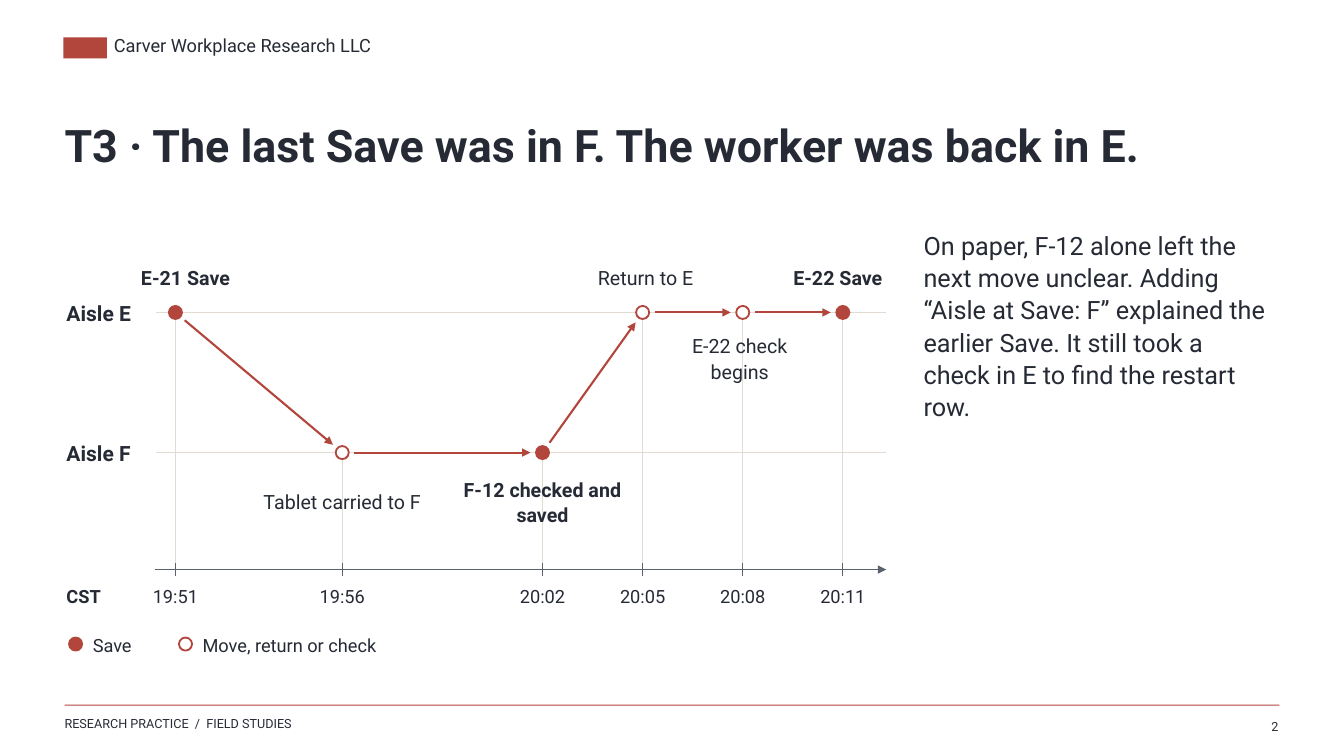
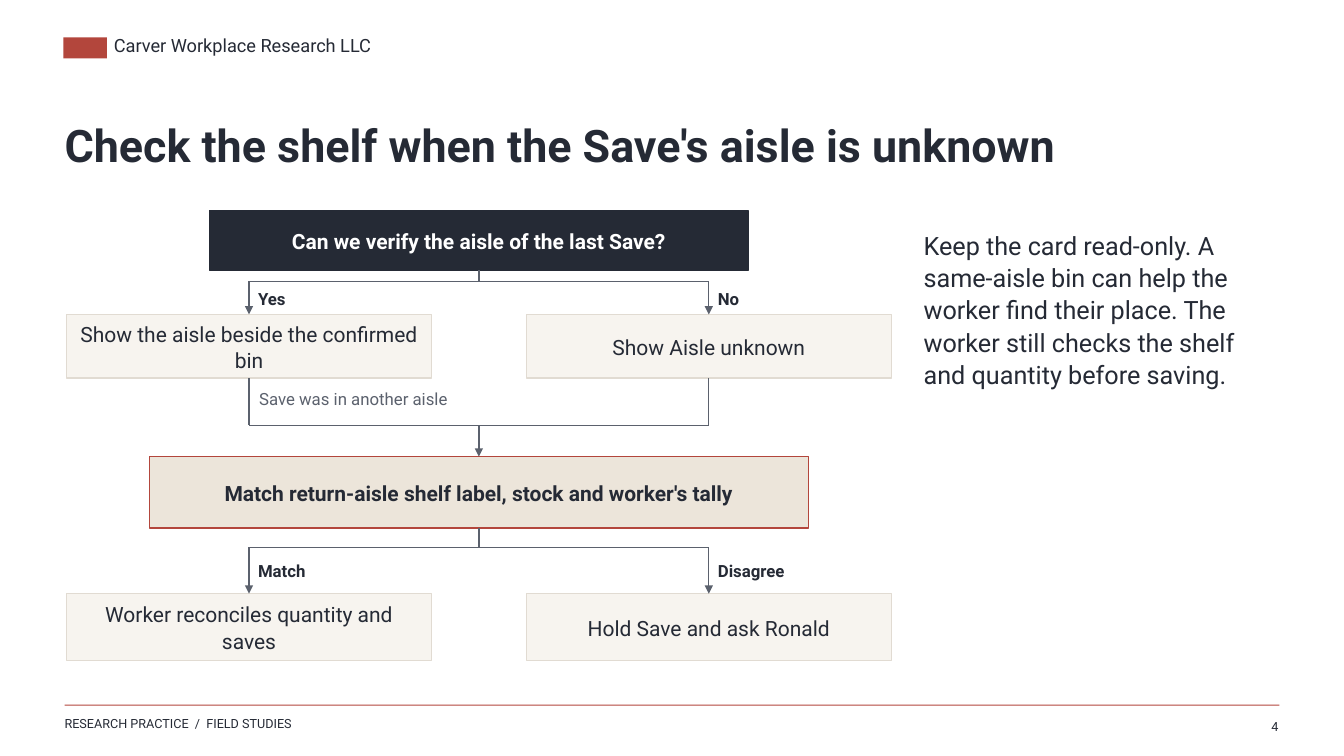
from math import hypot

from lxml import etree
from pptx import Presentation
from pptx.dml.color import RGBColor
from pptx.enum.shapes import MSO_CONNECTOR, MSO_SHAPE
from pptx.enum.text import MSO_ANCHOR, PP_ALIGN
from pptx.oxml.ns import qn
from pptx.util import Inches, Pt

RECTANGLE, ELLIPSE = MSO_SHAPE.RECTANGLE, MSO_SHAPE.OVAL
STRAIGHT = MSO_CONNECTOR.STRAIGHT
LEFT, CENTER, RIGHT = PP_ALIGN.LEFT, PP_ALIGN.CENTER, PP_ALIGN.RIGHT
TOP, MIDDLE = MSO_ANCHOR.TOP, MSO_ANCHOR.MIDDLE
SITE_TOP, SITE_BOTTOM = 0, 2

FONT = "Roboto"
INK, RED, GRAY, GRID = "252A35", "B3463C", "5B616D", "E1DBD2"
WHITE, PALE, SAND = "FFFFFF", "F7F4EF", "ECE5DA"
LINE_SPACING = 1.07

MARGIN = 0.64
SIDE_BOX = (9.12, 2.1, 3.48, 4.39)


def color(value):
    return RGBColor.from_string(value)


# Basic elements; a box is (left, top, width, height) in inches
def write_text(shape, text, size=13, bold=False, ink=INK, align=LEFT,
               anchor=MIDDLE, insets=(0, 0, 0, 0), spacing=LINE_SPACING):
    frame = shape.text_frame
    frame.word_wrap = True
    frame.vertical_anchor = anchor
    (frame.margin_left, frame.margin_top,
     frame.margin_right, frame.margin_bottom) = map(Inches, insets)
    para = frame.paragraphs[0]
    para.alignment = align
    para.line_spacing = spacing
    span = para.add_run()
    span.text = text
    span.font.name = FONT
    span.font.size = Pt(size)
    span.font.bold = bold
    span.font.color.rgb = color(ink)


def add_text(page, box, text, **style):
    write_text(page.shapes.add_textbox(*map(Inches, box)), text, **style)


def add_shape(page, kind, box, fill, outline=None, weight=0.9):
    shape = page.shapes.add_shape(kind, *map(Inches, box))
    shape.shadow.inherit = False
    shape.fill.solid()
    shape.fill.fore_color.rgb = color(fill)
    if outline:
        shape.line.color.rgb = color(outline)
        shape.line.width = Pt(weight)
    else:
        shape.line.fill.background()
    return shape


def add_line(page, start, end, ink=GRAY, weight=1, arrow=False):
    line = page.shapes.add_connector(STRAIGHT, *map(Inches, (*start, *end)))
    line.line.color.rgb = color(ink)
    line.line.width = Pt(weight)
    if arrow:
        outline = line.line._get_or_add_ln()
        etree.SubElement(outline, qn("a:tailEnd"), type="triangle")
    etree.SubElement(line._element.spPr, qn("a:effectLst"))
    return line


# Header, title, side text and footer of every page
def add_page(deck, number, title, side_text):
    page = deck.slides.add_slide(deck.slide_layouts[6])
    add_shape(page, RECTANGLE, (0.63, 0.37, 0.43, 0.21), RED)
    add_text(page, (1.13, 0.34, 5.5, 0.3), "Carver Workplace Research LLC",
             anchor=TOP, spacing=1.0)
    add_text(page, (MARGIN, 0.92, 12, 1), title, size=32, bold=True)
    add_text(page, SIDE_BOX, side_text, size=18, anchor=TOP,
             insets=(0.04, 0.16, 0.04, 0))
    add_shape(page, RECTANGLE, (MARGIN, 6.99, 12.05, 0.01), RED)
    add_text(page, (MARGIN, 7.1, 5.5, 0.24),
             "RESEARCH PRACTICE  /  FIELD STUDIES", size=9, anchor=TOP,
             spacing=1.0)
    add_text(page, (12.13, 7.08, 0.55, 0.24), str(number), size=9, align=RIGHT)
    return page


# Timeline
# Minutes after the first event, clock, aisle, is a save, label,
# label offset from the event (centre, top), label width and height
EVENTS = [
    (0, "19:51", "E", True, "E-21 Save", (0.1, -0.55), (1.15, 0.39)),
    (5, "19:56", "F", False, "Tablet carried to F", (0, 0.21), (1.7, 0.54)),
    (11, "20:02", "F", True, "F-12 checked and saved", (0, 0.21), (1.67, 0.54)),
    (14, "20:05", "E", False, "Return to E", (0.03, -0.55), (1.25, 0.39)),
    (17, "20:08", "E", False, "E-22 check begins", (-0.03, 0.2), (1.48, 0.5)),
    (20, "20:11", "E", True, "E-22 Save", (-0.05, -0.55), (1.18, 0.39)),
]


def add_marker(page, x, y, is_save):
    size = 0.13
    add_shape(page, ELLIPSE, (x - size / 2, y - size / 2, size, size),
              RED if is_save else WHITE, RED, 1.3)


def add_move(page, start, end, gap=0.12):
    across, down = end[0] - start[0], end[1] - start[1]
    length = hypot(across, down)
    step_x, step_y = gap * across / length, gap * down / length
    add_line(page, (start[0] + step_x, start[1] + step_y),
             (end[0] - step_x, end[1] - step_y), RED, 1.5, arrow=True)


def add_timeline(page, box):
    left, top, width, height = box
    right = left + width
    axis = top + 3.1
    lanes = {"E": top + 0.55, "F": top + 1.94}
    first, per_minute = left + 1.08, 0.331
    points = [(first + event[0] * per_minute, lanes[event[2]])
              for event in EVENTS]

    # Aisle lines, time lines and axis
    for aisle, y in lanes.items():
        add_line(page, (left + 0.89, y), (right, y), GRID)
        add_text(page, (left, y - 0.16, 0.87, 0.32), f"Aisle {aisle}",
                 size=15, bold=True)
    for x, y in points:
        add_line(page, (x, y), (x, axis), GRID, 0.65)
    add_line(page, (left + 0.88, axis), (right, axis), arrow=True)
    add_text(page, (left, axis + 0.12, 0.74, 0.27), "CST", bold=True)

    # Moves and events
    for start, end in zip(points, points[1:]):
        add_move(page, start, end)
    for (x, y), event in zip(points, EVENTS):
        _, clock, _, is_save, label, (shift, drop), (wide, high) = event
        add_marker(page, x, y, is_save)
        add_line(page, (x, axis - 0.06), (x, axis + 0.06), weight=0.8)
        add_text(page, (x - 0.43, axis + 0.12, 0.86, 0.27), clock, align=CENTER)
        add_text(page, (x + shift - wide / 2, y + drop, wide, high), label,
                 size=14, bold=is_save, align=CENTER)

    # Legend
    middle = top + height - 0.16
    for x, is_save, label, wide in (
            (left + 0.09, True, "Save", 0.65),
            (left + 1.18, False, "Move, return or check", 3.55)):
        add_marker(page, x, middle, is_save)
        add_text(page, (x + 0.17, middle - 0.16, wide, 0.32), label)


# Decision flow
def add_step(page, box, text, fill=PALE, outline=GRID, ink=INK, bold=False):
    step = add_shape(page, RECTANGLE, box, fill, outline)
    write_text(step, text, size=15, bold=bold, ink=ink, align=CENTER,
               insets=(0.12, 0, 0.12, 0))
    return step


def side_point(step, site):
    y = step.top if site == SITE_TOP else step.top + step.height
    return (step.left + step.width / 2) / Inches(1), y / Inches(1)


def add_stem(page, step, site, bar):
    x, y = side_point(step, site)
    if site == SITE_TOP:
        stem = add_line(page, (x, bar), (x, y), arrow=True)
        stem.end_connect(step, site)
    else:
        stem = add_line(page, (x, y), (x, bar))
        stem.begin_connect(step, site)


def add_branches(page, sources, targets, bar):
    pair = sources if len(sources) > 1 else targets
    ends = [(side_point(step, SITE_TOP)[0], bar) for step in pair]
    add_line(page, *ends)
    for step in sources:
        add_stem(page, step, SITE_BOTTOM, bar)
    for step in targets:
        add_stem(page, step, SITE_TOP, bar)


def label_branches(page, targets, bar, labels):
    for step, label in zip(targets, labels):
        x, y = side_point(step, SITE_TOP)
        add_text(page, (x + 0.09, (bar + y) / 2 - 0.12, 1.03, 0.24), label,
                 size=12, bold=True)


def add_flow(page, box):
    left, top, width, _ = box

    def centered(drop, wide, high):
        return left + (width - wide) / 2, top + drop, wide, high

    def add_pair(drop, high, texts):
        wide = 3.62
        return [add_step(page, (x, top + drop, wide, high), text)
                for x, text in zip((left, left + width - wide), texts)]

    # Steps
    question = add_step(page, centered(0, 5.34, 0.59),
                        "Can we verify the aisle of the last Save?",
                        fill=INK, outline=INK, ink=WHITE, bold=True)
    answers = add_pair(1.03, 0.63, ("Show the aisle beside the confirmed bin",
                                    "Show Aisle unknown"))
    match = add_step(page, centered(2.44, 6.54, 0.71),
                     "Match return-aisle shelf label, stock and worker's tally",
                     fill=SAND, outline=RED, bold=True)
    outcomes = add_pair(3.8, 0.66, ("Worker reconciles quantity and saves",
                                    "Hold Save and ask Ronald"))

    # Branches and their labels
    answer_bar, match_bar, outcome_bar = top + 0.7, top + 2.13, top + 3.34
    add_branches(page, [question], answers, answer_bar)
    add_branches(page, answers, [match], match_bar)
    add_branches(page, [match], outcomes, outcome_bar)
    label_branches(page, answers, answer_bar, ("Yes", "No"))
    label_branches(page, outcomes, outcome_bar, ("Match", "Disagree"))
    add_text(page, (left + 1.91, top + 1.74, 3.5, 0.24),
             "Save was in another aisle", size=12, ink=GRAY)


def main():
    deck = Presentation()
    deck.slide_width, deck.slide_height = Inches(13.33), Inches(7.5)

    page = add_page(
        deck, 2, "T3 · The last Save was in F. The worker was back in E.",
        "On paper, F-12 alone left the next move unclear. Adding “Aisle at "
        "Save: F” explained the earlier Save. It still took a check in E to "
        "find the restart row.")
    add_timeline(page, (0.66, 2.55, 8.13, 4))

    page = add_page(
        deck, 4, "Check the shelf when the Save's aisle is unknown",
        "Keep the card read-only. A same-aisle bin can help the worker find "
        "their place. The worker still checks the shelf and quantity before "
        "saving.")
    add_flow(page, (0.66, 2.09, 8.18, 4.46))

    deck.save("out.pptx")


if __name__ == "__main__":
    main()
